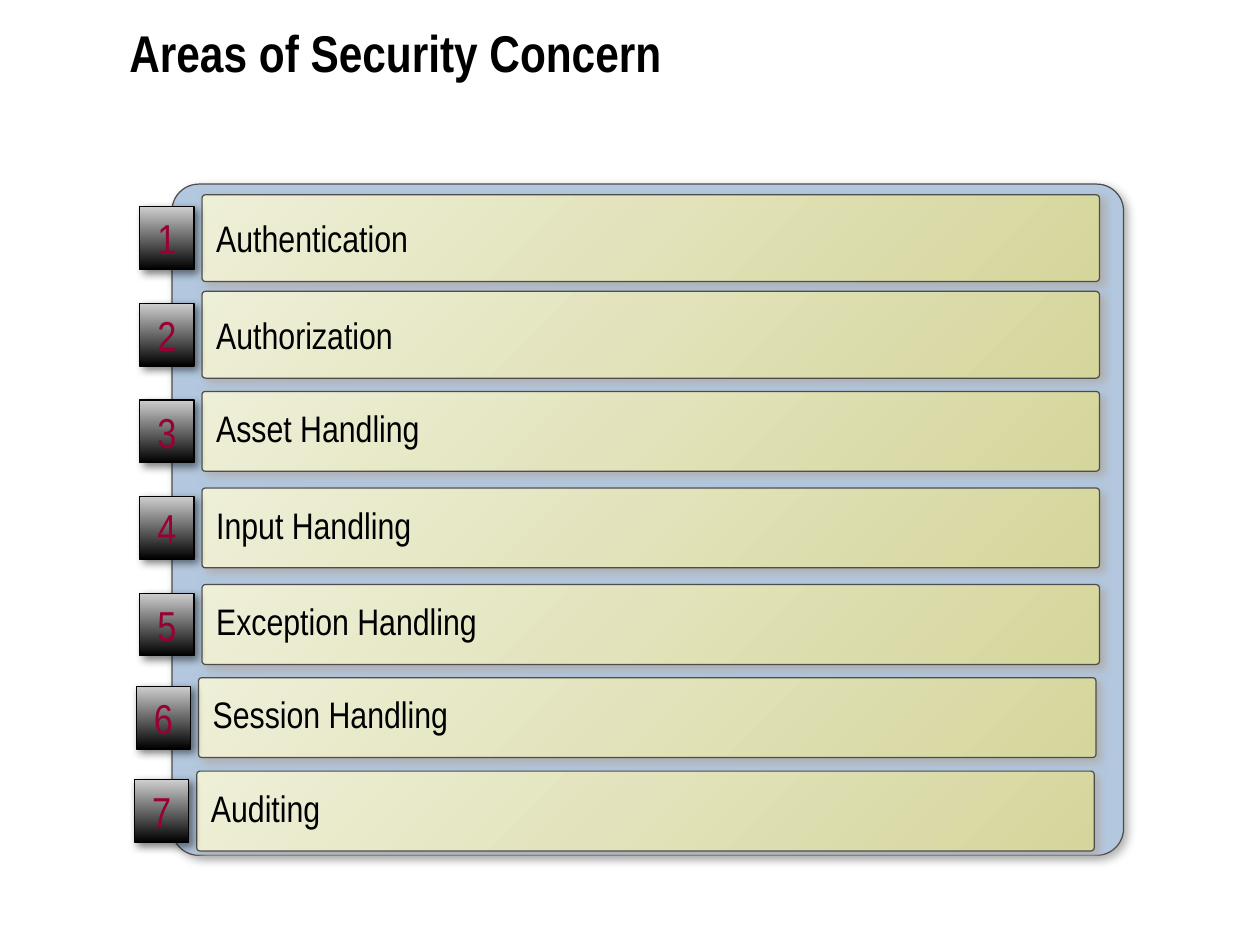
from lxml.etree import SubElement
from pptx import Presentation
from pptx.dml.color import RGBColor
from pptx.enum.shapes import MSO_SHAPE as Shape
from pptx.enum.text import MSO_ANCHOR as Anchor, MSO_AUTO_SIZE as AutoSize, PP_ALIGN as Align
from pptx.oxml.ns import qn
from pptx.util import Cm, Pt

FONT = "Arial Narrow"
BLACK = RGBColor(0x00, 0x00, 0x00)
SILVER = RGBColor(0xCE, 0xCE, 0xCE)
CRIMSON = RGBColor(0x99, 0x00, 0x33)
OUTLINE = RGBColor(0x4D, 0x4D, 0x4D)
PANEL_BLUE = RGBColor(0xB3, 0xC8, 0xDF)
OLIVE = RGBColor(0xD5, 0xD6, 0x9C)
CREAM = RGBColor(0xEE, 0xEF, 0xD7)
SHADOW_GREY = RGBColor(0xAF, 0xAF, 0xAF)

BAR_WIDTH = 25.73
BADGE_WIDTH, BADGE_HEIGHT = 1.55, 1.8
BADGE_OFFSET = 1.78  # from the left of a badge to the left of its bar

# label, bar height, distance from the panel top to the row centre, shift to the left
AREAS = [
    ("Authentication", 2.49, 1.55, 0),
    ("Authorization", 2.49, 4.32, 0),
    ("Asset Handling", 2.29, 7.09, 0),
    ("Input Handling", 2.29, 9.86, 0),
    ("Exception Handling", 2.29, 12.63, 0),
    ("Session Handling", 2.29, 15.3, 0.1),
    ("Auditing", 2.29, 17.98, 0.15),
]


def add_shadow(shape, color, opacity):
    shape.shadow.inherit = False
    effects = shape._element.spPr.find(qn("a:effectLst"))
    shadow = SubElement(effects, qn("a:outerShdw"), blurRad=str(Pt(7)), dist=str(Pt(4)),
                        dir="2700000", algn="ctr", rotWithShape="0")
    shade = SubElement(shadow, qn("a:srgbClr"), val=str(color))
    SubElement(shade, qn("a:alpha"), val=str(opacity * 1000))


def add_block(slide, left, top, width, height, corner, line_color):
    shape = slide.shapes.add_shape(Shape.ROUNDED_RECTANGLE,
                                   Cm(left), Cm(top), Cm(width), Cm(height))
    shape.adjustments[0] = corner
    shape.line.color.rgb = line_color
    shape.line.width = Pt(1)
    return shape


def fill_gradient(shape, start, end, angle):
    shape.fill.gradient()
    shape.fill.gradient_angle = angle
    for stop, color in zip(shape.fill.gradient_stops, (start, end)):
        stop.color.rgb = color


def write(shape, text, size, color, align, spacing=1.0, inset=0, bold=False):
    frame = shape.text_frame
    frame.text = text
    frame.auto_size = AutoSize.NONE
    frame.vertical_anchor = Anchor.MIDDLE
    frame.margin_left = frame.margin_right = Cm(inset)
    frame.margin_top = frame.margin_bottom = 0
    paragraph = frame.paragraphs[0]
    paragraph.alignment = align
    paragraph.line_spacing = spacing
    font = paragraph.runs[0].font
    font.name, font.size, font.bold = FONT, Pt(size), bold
    font.color.rgb = color


def add_title(slide, left, top, width, height):
    title = slide.shapes.title
    title.left, title.top, title.width, title.height = map(Cm, (left, top, width, height))
    write(title, "Areas of Security Concern", 42, BLACK, Align.LEFT, spacing=0.8, bold=True)


def add_area(slide, number, label, left, centre, bar_height):
    """Draw one row: a labelled bar with its numbered badge on the left."""
    bar = add_block(slide, left + BADGE_OFFSET, centre - bar_height / 2,
                    BAR_WIDTH, bar_height, 0.042, OUTLINE)
    fill_gradient(bar, OLIVE, CREAM, 135)
    add_shadow(bar, SHADOW_GREY, 100)
    spacing = 1.0 if bar_height > 2.4 else 0.85
    write(bar, label, 30, BLACK, Align.LEFT, spacing, inset=0.38)

    badge = add_block(slide, left, centre - BADGE_HEIGHT / 2,
                      BADGE_WIDTH, BADGE_HEIGHT, 0, BLACK)
    fill_gradient(badge, BLACK, SILVER, 90)
    add_shadow(badge, BLACK, 50)
    write(badge, str(number), 34, CRIMSON, Align.CENTER)


def add_area_panel(slide, left, top, width, height):
    panel = add_block(slide, left, top, width, height, 0.04, OUTLINE)
    panel.fill.solid()
    panel.fill.fore_color.rgb = PANEL_BLUE
    add_shadow(panel, SHADOW_GREY, 100)
    for number, (label, bar_height, centre, shift) in enumerate(AREAS, start=1):
        add_area(slide, number, label, left - 0.92 - shift, top + centre, bar_height)


def main():
    presentation = Presentation()
    presentation.slide_width, presentation.slide_height = Cm(36.12), Cm(27.1)
    slide = presentation.slides.add_slide(presentation.slide_layouts[5])
    add_title(slide, 3.71, 0.3, 29.21, 2.69)
    add_area_panel(slide, 4.93, 5.28, 27.28, 19.25)
    presentation.save("out.pptx")


if __name__ == "__main__":
    main()
